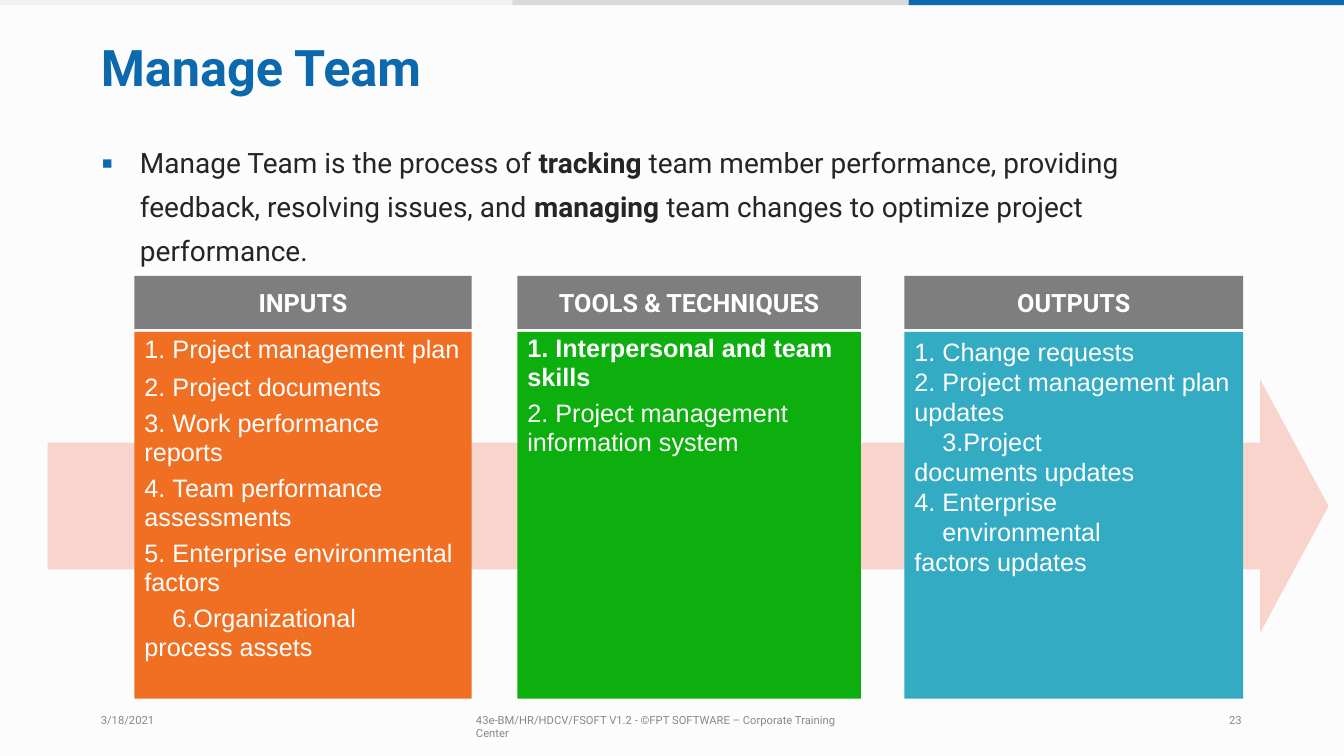
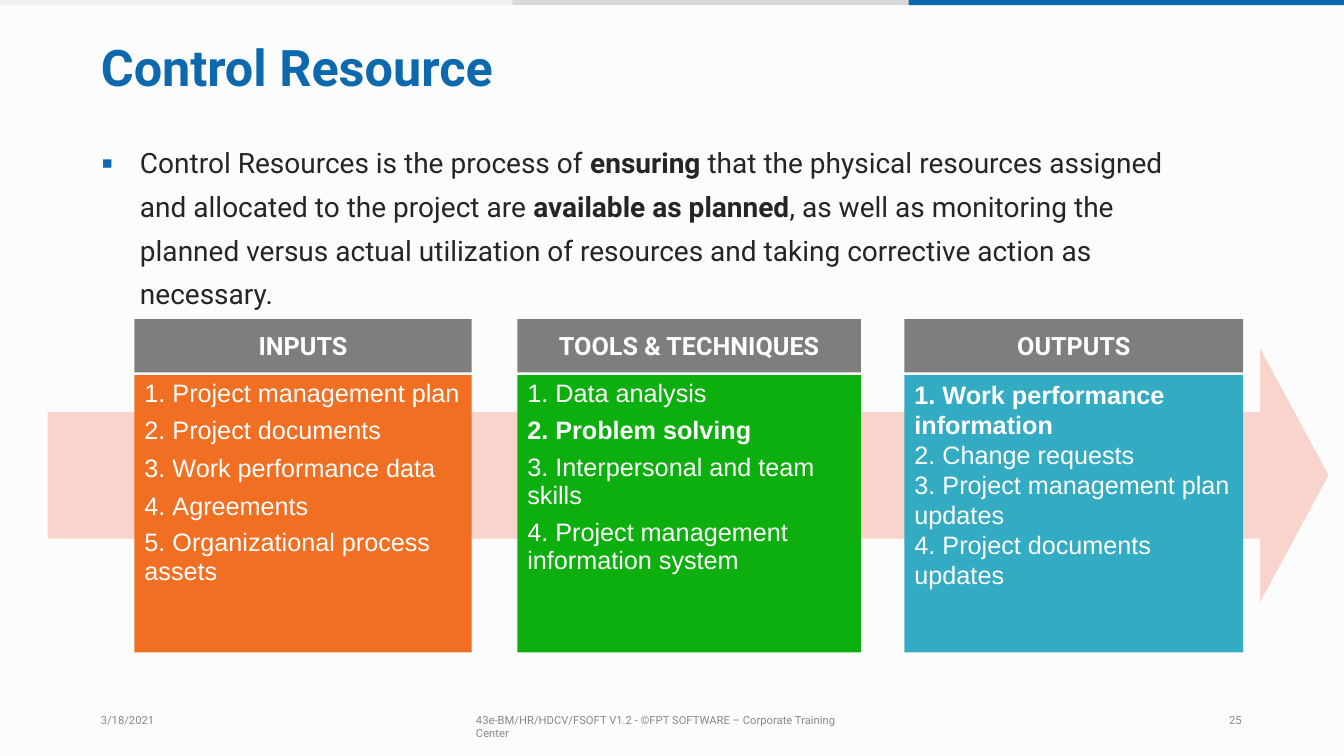
from dataclasses import dataclass

from lxml.etree import SubElement
from pptx import Presentation
from pptx.dml.color import RGBColor
from pptx.enum.shapes import MSO_SHAPE
from pptx.enum.text import MSO_ANCHOR, MSO_AUTO_SIZE, PP_ALIGN
from pptx.oxml.ns import qn
from pptx.util import Pt

BLUE, INK, MUTED, WHITE = "0D69AE", "252525", "888888", "FFFFFF"
PAPER, HEADER, ARROW = "FCFCFC", "7E7E7E", "F9D4CC"
BANDS = [("F1F1F1", 0, 366), ("D9D9D9", 366, 649), (BLUE, 649, 960)]
DATE = "3/18/2021"
FOOTER = "43e-BM/HR/HDCV/FSOFT V1.2 - ©FPT SOFTWARE – Corporate Training Center"
MARGIN = 72
HEADER_HEIGHT, PANEL_OFFSET = 38, 40
SINGLE_LINE, WRAPPED_LINE = 21.5, 20.5
TEXT_LEFT, NUMBER_WIDTH, NARROW_RIGHT = 7.2, 20, 65


@dataclass
class Column:
    heading: str
    left: float
    width: float
    fill: str
    inset: float
    gap: float


@dataclass
class Item:
    """A numbered line; rest continues it at the left edge of the panel."""
    text: str
    rest: str = ""
    bold: bool = False
    narrow: bool = False
    number_indented: bool = False


COLUMNS = [
    Column("INPUTS", 96, 241, "F16F22", 1.5, 5.4),
    Column("TOOLS & TECHNIQUES", 369.5, 245.5, "0DAF0E", 1.5, 5.4),
    Column("OUTPUTS", 646, 242, "33ABC3", 3, 0),
]

SLIDES = [
    dict(
        title="Manage Team", number=23, arrow_top=271, top=197, height=262,
        summary="Manage Team is the process of *tracking* team member performance, "
                "providing feedback, resolving issues, and *managing* team changes "
                "to optimize project performance.",
        lists=[
            [Item("Project management plan"),
             Item("Project documents"),
             Item("Work performance", "reports"),
             Item("Team performance", "assessments"),
             Item("Enterprise environmental", "factors"),
             Item("Organizational process assets", narrow=True, number_indented=True)],
            [Item("Interpersonal and team", "skills", bold=True),
             Item("Project management", "information system")],
            [Item("Change requests"),
             Item("Project management plan", "updates"),
             Item("Project documents updates", narrow=True, number_indented=True),
             Item("Enterprise environmental", "factors updates", narrow=True)],
        ]),
    dict(
        title="Control Resource", number=25, arrow_top=249, top=228, height=198,
        summary="Control Resources is the process of *ensuring* that the physical "
                "resources assigned and allocated to the project are *available as "
                "planned*, as well as monitoring the planned versus actual utilization "
                "of resources and taking corrective action as necessary.",
        lists=[
            [Item("Project management plan"),
             Item("Project documents"),
             Item("Work performance data"),
             Item("Agreements"),
             Item("Organizational process", "assets")],
            [Item("Data analysis"),
             Item("Problem solving", bold=True),
             Item("Interpersonal and team", "skills"),
             Item("Project management", "information system")],
            [Item("Work performance", "information", bold=True),
             Item("Change requests"),
             Item("Project management plan", "updates"),
             Item("Project documents", "updates")],
        ]),
]


def color(value):
    return RGBColor.from_string(value)


def style(font, size, fill, bold=False, name="Roboto"):
    font.name, font.size, font.bold = name, Pt(size), bold
    font.color.rgb = color(fill)


def place(s, left, top, width, height):
    s.left, s.top, s.width, s.height = (Pt(v) for v in (left, top, width, height))


def set_frame(s, inset=0):
    tf = s.text_frame
    tf.word_wrap = True
    tf.auto_size = MSO_AUTO_SIZE.NONE
    tf.vertical_anchor = MSO_ANCHOR.TOP
    tf.margin_left = tf.margin_right = tf.margin_bottom = 0
    tf.margin_top = Pt(inset)
    return tf


def set_indent(p, left, first=0, right=0):
    """Set the paragraph margins, which have no public property."""
    pPr = p._p.get_or_add_pPr()
    for key, value in (("marL", left), ("indent", first), ("marR", right)):
        pPr.set(key, str(int(Pt(value))))
    return pPr


def add_block(slide, left, top, width, height, fill, kind=MSO_SHAPE.RECTANGLE):
    s = slide.shapes.add_shape(kind, Pt(left), Pt(top), Pt(width), Pt(height))
    s.shadow.inherit = False
    s.fill.solid()
    s.fill.fore_color.rgb = color(fill)
    s.line.fill.background()
    return s


def add_text(slide, left, top, width, height, inset):
    s = slide.shapes.add_textbox(Pt(left), Pt(top), Pt(width), Pt(height))
    return set_frame(s, inset).paragraphs[0]


def add_bands(slide):
    """Draw the top bands and hand them to the layout that all slides share."""
    layout_tree = slide.slide_layout.shapes.element
    for i, (fill, left, right) in enumerate(BANDS):
        s = add_block(slide, left, 0, right - left, 3.6, fill)
        s.element.nvSpPr.cNvPr.set("id", str(20 + i))
        layout_tree.append(s.element)


def set_title(slide, text):
    s = slide.shapes.title
    place(s, MARGIN, 24.5, 773, 45)
    p = set_frame(s, 1).paragraphs[0]
    p.text = text
    p.alignment = PP_ALIGN.LEFT
    style(p.runs[0].font, 36, BLUE, bold=True)


def add_footer(slide, number):
    for text, left, width in ((DATE, MARGIN, 60), (FOOTER, 340, 275),
                              (str(number), 878, 20)):
        p = add_text(slide, left, 508, width, 24, 1.5)
        p.text = text
        style(p.runs[0].font, 8, MUTED)


def add_summary(slide, text):
    """Add the bulleted definition; words between asterisks are bold."""
    p = add_text(slide, MARGIN, 96, 778, 125, 1)
    pPr = set_indent(p, 28, -27.5)
    SubElement(SubElement(pPr, qn("a:buClr")), qn("a:srgbClr"), val=BLUE)
    SubElement(pPr, qn("a:buSzPct"), val="120000")
    SubElement(pPr, qn("a:buFont"), typeface="Arial")
    SubElement(pPr, qn("a:buChar"), char="▪")
    p.line_spacing = 1.3
    for i, part in enumerate(text.split("*")):
        r = p.add_run()
        r.text = part
        style(r.font, 20, INK, bold=i % 2 == 1)


def add_line(tf, text, bold, spacing, gap=0):
    p = tf.paragraphs[0]
    if p.runs:
        p = tf.add_paragraph()
        p.space_before = Pt(gap)
    p.text = text
    p.alignment = PP_ALIGN.LEFT
    p.line_spacing = Pt(spacing)
    style(p.runs[0].font, 18, WHITE, bold, "Arial")
    return p


def fill_list(tf, items, gap):
    start = 1
    for number, item in enumerate(items, 1):
        wraps = gap and (item.rest or item.narrow)
        spacing = WRAPPED_LINE if wraps else SINGLE_LINE
        p = add_line(tf, item.text, item.bold, spacing, gap)
        left, first = TEXT_LEFT + NUMBER_WIDTH, -NUMBER_WIDTH
        if item.number_indented:
            left, first = TEXT_LEFT, NUMBER_WIDTH
        pPr = set_indent(p, left, first, NARROW_RIGHT if item.narrow else 0)
        SubElement(pPr, qn("a:buFont"), typeface="Arial")
        SubElement(pPr, qn("a:buAutoNum"), type="arabicPeriod", startAt=str(start))
        if item.rest:
            set_indent(add_line(tf, item.rest, item.bold, spacing), TEXT_LEFT)
            start = number + 1


def add_column(slide, column, items, top, height):
    panel = add_block(slide, column.left, top + PANEL_OFFSET, column.width, height,
                      column.fill)
    fill_list(set_frame(panel, column.inset), items, column.gap)
    header = add_block(slide, column.left, top, column.width, HEADER_HEIGHT, HEADER)
    p = set_frame(header, 8).paragraphs[0]
    p.text = column.heading
    p.alignment = PP_ALIGN.CENTER
    style(p.runs[0].font, 18, WHITE, bold=True)


def add_arrow(slide, top):
    s = add_block(slide, 34, top, 915, 181, ARROW, MSO_SHAPE.RIGHT_ARROW)
    s.adjustments[0], s.adjustments[1] = 0.5, 0.27


def main():
    prs = Presentation()
    prs.slide_width, prs.slide_height = Pt(960), Pt(540)
    background = prs.slide_master.background.fill
    background.solid()
    background.fore_color.rgb = color(PAPER)
    layout = prs.slide_layouts.get_by_name("Title Only")
    for i, content in enumerate(SLIDES):
        slide = prs.slides.add_slide(layout)
        if i == 0:
            add_bands(slide)
        add_arrow(slide, content["arrow_top"])
        set_title(slide, content["title"])
        add_footer(slide, content["number"])
        add_summary(slide, content["summary"])
        for column, items in zip(COLUMNS, content["lists"]):
            add_column(slide, column, items, content["top"], content["height"])
    prs.save("out.pptx")


if __name__ == "__main__":
    main()
